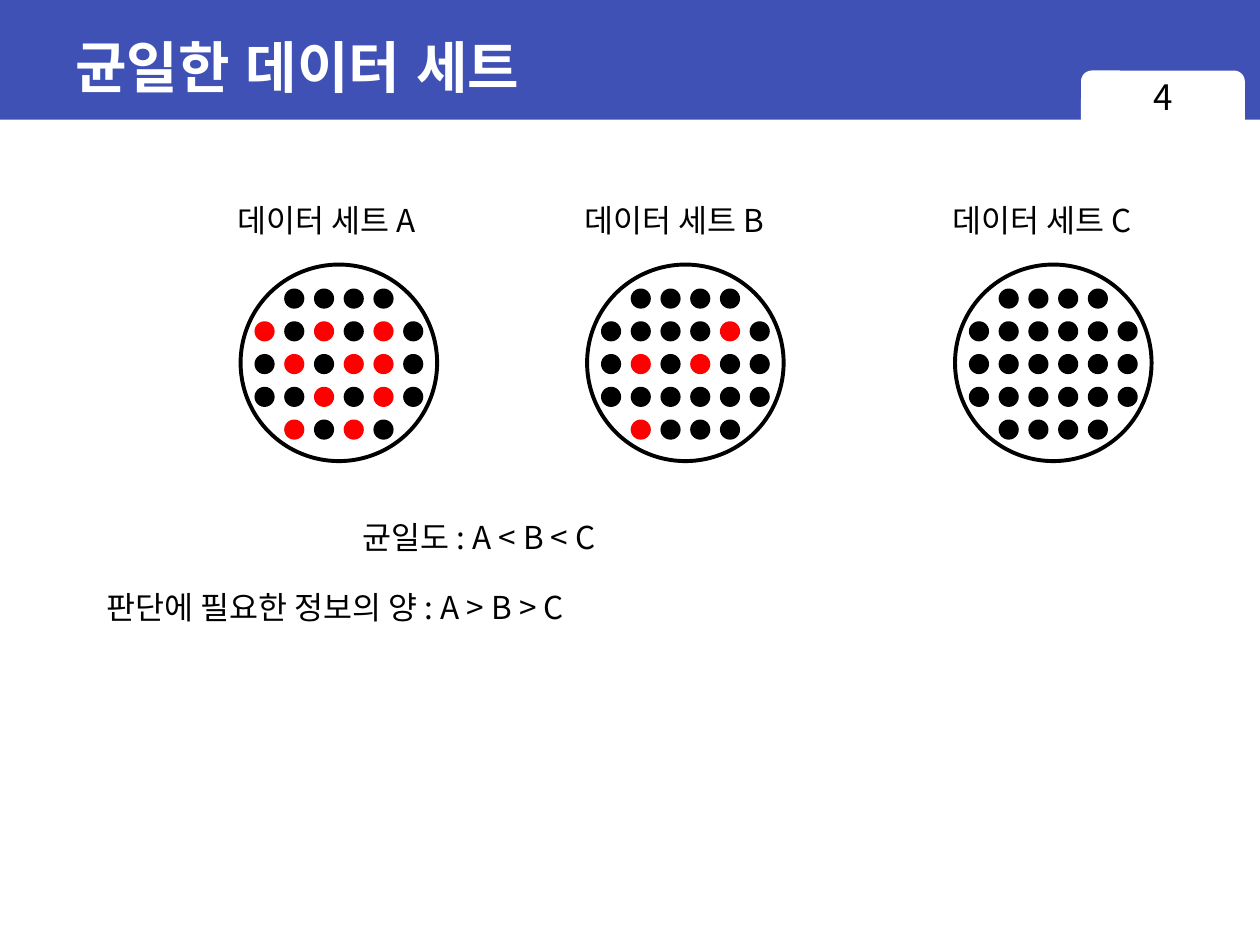
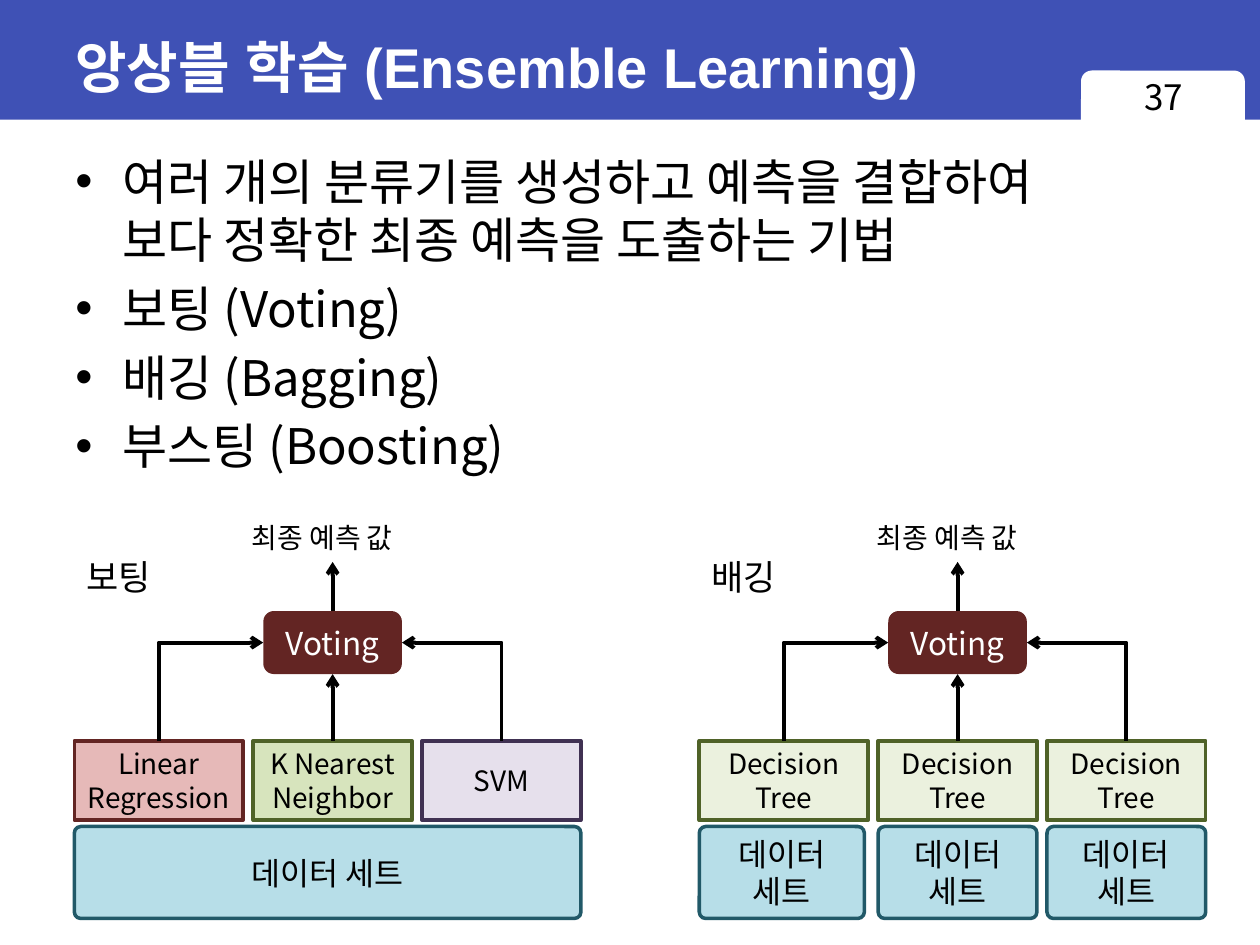
from dataclasses import dataclass

from lxml.etree import SubElement
from pptx import Presentation
from pptx.dml.color import RGBColor
from pptx.enum.shapes import MSO_CONNECTOR, MSO_SHAPE
from pptx.enum.text import MSO_ANCHOR, MSO_AUTO_SIZE, PP_ALIGN
from pptx.oxml.ns import qn
from pptx.util import Inches, Pt

COLS, ROWS = 100, 75
WIDE, HIGH = Inches(10), Inches(7.5)
SANS, HEAD, PLAIN = "Noto Sans CJK KR", "Arial", "Calibri"
HUES = {
    "band": "3F51B5", "white": "FFFFFF", "black": "000000", "red": "FF0000",
    "wine": "632523", "rose": "E6B9B8", "moss": "4F6228", "lime": "D7E4BD",
    "pale": "EBF1DE", "plum": "403152", "lilac": "E6E0EC",
    "sky": "B7DEE8", "teal": "215968",
}
DOTS = {"k": "black", "r": "red"}


@dataclass(frozen=True)
class Box:
    """A place on the grid, in columns and rows."""
    left: float
    top: float
    width: float
    height: float

    def spots(self) -> tuple:
        """Return the place in slide lengths."""
        return (across(self.left), down(self.top),
                across(self.width), down(self.height))


@dataclass(frozen=True)
class Type:
    """The look of a text."""
    size: float
    hue: str = "black"
    face: str = SANS
    bold: bool = False
    align: PP_ALIGN = PP_ALIGN.LEFT


@dataclass(frozen=True)
class Pan:
    """A round data set filled with rows of dots."""
    left: float
    name: str
    rows: tuple


@dataclass(frozen=True)
class Model:
    """A classifier box."""
    text: str
    fill: str
    edge: str


@dataclass(frozen=True)
class Scheme:
    """An ensemble diagram; each set is offset, width and text."""
    left: float
    name: str
    models: tuple
    sets: tuple


LABEL = Type(18)
CENTER = PP_ALIGN.CENTER
TREE = Model("Decision\vTree", "pale", "moss")
SLOTS = ((0, 13.4), (14.2, 12.6), (27.6, 12.6))
PANS = (
    Pan(19.1, "A", ("-kkkk-", "rkrkrk", "krkrrk", "kkrkrk", "-rkrk-")),
    Pan(46.6, "B", ("-kkkk-", "kkkkrk", "krkrkk", "kkkkkk", "-rkkk-")),
    Pan(75.8, "C", ("-kkkk-", "kkkkkk", "kkkkkk", "kkkkkk", "-kkkk-")),
)
SCHEMES = (
    Scheme(5.9, "보팅",
           (Model("Linear\vRegression", "rose", "wine"),
            Model("K Nearest\vNeighbor", "lime", "moss"),
            Model("SVM", "lilac", "plum")),
           ((0, 40.2, "데이터 세트"),)),
    Scheme(55.5, "배깅", (TREE,) * 3,
           tuple((shift, width, "데이터\v세트")
                 for shift, width in ((0, 13.1), *SLOTS[1:]))),
)
POINTS = (
    "여러 개의 분류기를 생성하고 예측을 결합하여\v보다 정확한 최종 예측을 도출하는 기법",
    "보팅 (Voting)", "배깅 (Bagging)", "부스팅 (Boosting)",
)


def across(cols: float) -> int:
    """Turn columns into a length."""
    return round(WIDE * cols / COLS)


def down(rows: float) -> int:
    """Turn rows into a length."""
    return round(HIGH * rows / ROWS)


def tint(name: str) -> RGBColor:
    """Look up a colour."""
    return RGBColor.from_string(HUES[name])


def style(para, look: Type) -> None:
    """Format the runs of a paragraph."""
    para.alignment = look.align
    for run in para.runs:
        font = run.font
        font.size, font.bold, font.name = Pt(look.size), look.bold, look.face
        font.color.rgb = tint(look.hue)
        SubElement(run._r.get_or_add_rPr(), qn("a:ea"), typeface=look.face)


def write(slide, box: Box, text: str, look: Type, wrap: bool = False):
    """Add a text box, which fits its text unless it wraps."""
    frame = slide.shapes.add_textbox(*box.spots()).text_frame
    frame.word_wrap = wrap
    frame.auto_size = (MSO_AUTO_SIZE.NONE if wrap
                       else MSO_AUTO_SIZE.SHAPE_TO_FIT_TEXT)
    frame.text = text
    for para in frame.paragraphs:
        style(para, look)
    return frame


def draw(slide, kind, box: Box, fill: str = "", edge: str = "",
         weight: float = 2, text: str = "", look: Type = LABEL):
    """Add a preset shape with an optional label."""
    shape = slide.shapes.add_shape(kind, *box.spots())
    shape.shadow.inherit = False
    if fill:
        shape.fill.solid()
        shape.fill.fore_color.rgb = tint(fill)
    else:
        shape.fill.background()
    if edge:
        shape.line.color.rgb = tint(edge)
        shape.line.width = Pt(weight)
    else:
        shape.line.fill.background()
    if text:
        frame = shape.text_frame
        frame.margin_left = frame.margin_right = across(0.5)
        frame.vertical_anchor = MSO_ANCHOR.MIDDLE
        frame.text = text
        style(frame.paragraphs[0], look)
    return shape


def arrow(slide, tip: tuple, tail: tuple) -> None:
    """Draw an arrow to the tip, with one bend when it is not upright."""
    bent = tip[0] != tail[0]
    kind = MSO_CONNECTOR.ELBOW if bent else MSO_CONNECTOR.STRAIGHT
    line = slide.shapes.add_connector(
        kind, across(tip[0]), down(tip[1]), across(tail[0]), down(tail[1]))
    line.line.color.rgb = tint("black")
    line.line.width = Pt(2.25)
    props = line._element.spPr
    if bent:
        props.find(qn("a:prstGeom")).set("prst", "bentConnector2")
    SubElement(props.find(qn("a:ln")), qn("a:headEnd"), type="arrow")
    SubElement(props, qn("a:effectLst"))


def start(deck, title: str, page: str):
    """Add a slide with its band, title and page tab."""
    slide = deck.slides.add_slide(deck.slide_layouts[6])
    draw(slide, MSO_SHAPE.RECTANGLE, Box(0, 0, COLS, 9.5), "band")
    draw(slide, MSO_SHAPE.ROUNDED_RECTANGLE, Box(85.8, 5.6, 13, 5.1), "white")
    frame = write(slide, Box(5, 1.1, 90, 8.3), title,
                  Type(32, "white", HEAD, True), True)
    frame.vertical_anchor = MSO_ANCHOR.MIDDLE
    write(slide, Box(85.8, 5.5, 13.1, 5.2), page, Type(20, align=CENTER), True)
    return slide


def plate(slide, pan: Pan) -> None:
    """Draw a data set with its name."""
    write(slide, Box(pan.left - 1.2, 15.5, 18, 4), f"데이터 세트 {pan.name}", LABEL)
    draw(slide, MSO_SHAPE.OVAL, Box(pan.left, 21, 15.6, 15.6),
         edge="black", weight=2.25)
    for row, marks in enumerate(pan.rows):
        for col, mark in enumerate(marks):
            if mark in DOTS:
                spot = Box(pan.left + 1.1 + 2.36 * col, 22.9 + 2.6 * row, 1.6, 1.6)
                draw(slide, MSO_SHAPE.OVAL, spot, DOTS[mark])


def chart(slide, plan: Scheme) -> None:
    """Draw an ensemble diagram."""
    left = plan.left
    for shift, width, text in plan.sets:
        tray = draw(slide, MSO_SHAPE.ROUNDED_RECTANGLE,
                    Box(left + shift, 65.6, width, 7.3), "sky", "teal",
                    text=text, look=Type(18, face=PLAIN, align=CENTER))
        tray.adjustments[0] = 0.07
    for model, (shift, width) in zip(plan.models, SLOTS):
        draw(slide, MSO_SHAPE.RECTANGLE, Box(left + shift, 58.8, width, 6.3),
             model.fill, model.edge, text=model.text, look=Type(16, align=CENTER))
    vote = Box(left + 15, 48.5, 11, 5)
    draw(slide, MSO_SHAPE.ROUNDED_RECTANGLE, vote, "wine", text="Voting",
         look=Type(18, "white", align=CENTER))
    mid, side = vote.left + vote.width / 2, vote.top + vote.height / 2
    arrow(slide, (mid, vote.top + vote.height), (mid, 58.8))
    arrow(slide, (vote.left, side), (left + 6.7, 58.8))
    arrow(slide, (vote.left + vote.width, side), (left + 33.9, 58.8))
    arrow(slide, (mid, 44.6), (mid, vote.top))
    write(slide, Box(left, 43.6, 7.6, 4.4), plan.name, Type(20))
    write(slide, Box(left + 13.1, 40.8, 14.8, 3.7), "최종 예측 값", Type(16))


def listing(slide) -> None:
    """Write the bulleted points."""
    frame = write(slide, Box(5, 11.5, 93.8, 61.4), "\n".join(POINTS), Type(28), True)
    for rank, para in enumerate(frame.paragraphs):
        props = para._p.get_or_add_pPr()
        props.set("marL", str(across(3.75)))
        props.set("indent", str(-across(3.75)))
        SubElement(props, qn("a:buFont"), typeface=HEAD)
        SubElement(props, qn("a:buChar"), char="•")
        if rank:
            para.space_before = Pt(5.6)


def main() -> None:
    """Build the deck."""
    deck = Presentation()
    deck.slide_width, deck.slide_height = WIDE, HIGH
    even = start(deck, "균일한 데이터 세트", "4")
    for pan in PANS:
        plate(even, pan)
    write(even, Box(27.8, 40.6, 23.8, 4), "균일도 : A < B < C", LABEL)
    write(even, Box(7.5, 46.2, 44.1, 4), "판단에 필요한 정보의 양 : A > B > C", LABEL)
    group = start(deck, "앙상블 학습 (Ensemble Learning)", "37")
    listing(group)
    for plan in SCHEMES:
        chart(group, plan)
    deck.save("out.pptx")


if __name__ == "__main__":
    main()
